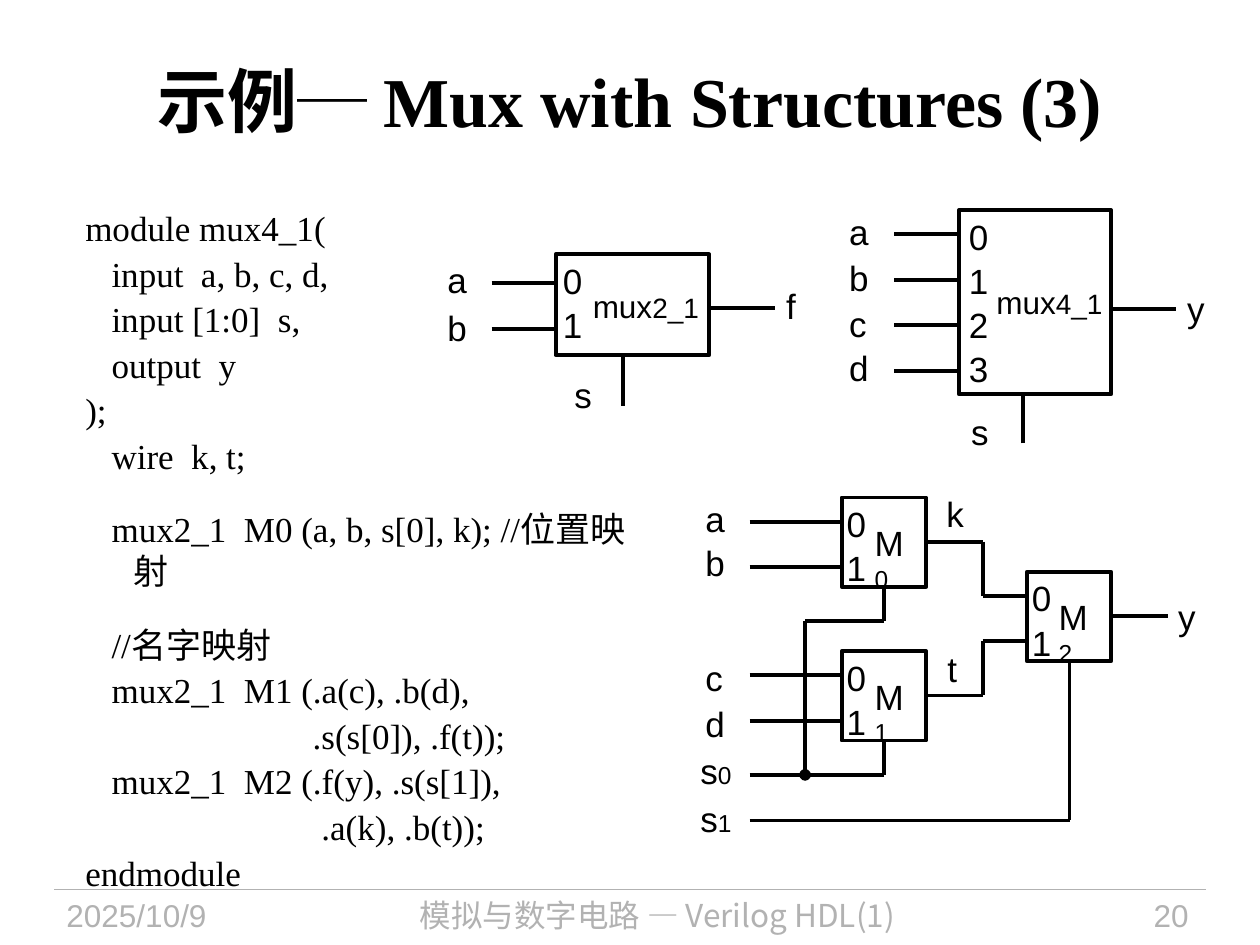
from itertools import pairwise
from lxml import etree
from pptx import Presentation, util as u
from pptx.dml.color import RGBColor
from pptx.enum import shapes, text
from pptx.oxml import ns

THEME = {
    "ink": RGBColor(0, 0, 0), "paper": RGBColor(255, 255, 255),
    "muted": RGBColor(0xB2, 0xB2, 0xB2),
    "serif": "Times New Roman", "sans": "Arial", "cjk": "Noto Sans CJK SC",
    "title": 40, "body": 20, "name": 18, "suffix": 16, "index": 14, "footer": 18,
    "wire": 2.25, "rule": 0.75,
}

# Content; positions are in inches and become Cm through at()
TITLE = [("示例", "serif"), ("─", "cjk"), (" Mux with Structures (3)", "serif")]
CODE_BLOCKS = [
    ["module mux4_1(", "   input  a, b, c, d,", "   input [1:0]  s,", "   output  y", ");",
     "   wire  k, t;"],
    ["   mux2_1  M0 (a, b, s[0], k); //位置映射"],
    ["   //名字映射", "   mux2_1  M1 (.a(c), .b(d),",
     "                          .s(s[0]), .f(t));",
     "   mux2_1  M2 (.f(y), .s(s[1]),",
     "                           .a(k), .b(t));", "endmodule"],
]
# left, top, width, height, pins, pin inset, first lead, lead length, output offset, output length
BLOCKS = [
    (4.41, 2.02, 1.22, 0.80, 2, 0.06, 0.23, 0.51, 0.42, 0.52),
    (7.61, 1.67, 1.21, 1.46, 4, 0.08, 0.19, 0.51, 0.78, 0.51),
    (6.68, 3.95, 0.67, 0.71, 2, 0.04, 0.19, 0.73, 0.35, 0.45),
    (6.68, 5.17, 0.67, 0.71, 2, 0.04, 0.19, 0.73, 0.35, 0.45),
    (8.15, 4.54, 0.67, 0.71, 2, 0.04, 0.19, 0.35, 0.35, 0.45),
]
BLOCK_NAMES = [("mux", "2_1", 4.68, 2.28, 0.89), ("mux", "4_1", 7.80, 2.25, 1.06)]
GATE_NAMES = [("M", "0", 6.94, 4.14), ("M", "1", 6.94, 5.36), ("M", "2", 8.40, 4.73)]
SELECTS = [("s", "0", 5.56, 5.95), ("s", "1", 5.56, 6.33)]
SIGNALS = [
    ("a", 3.55, 2.05), ("b", 3.55, 2.43), ("s", 4.56, 2.96), ("f", 6.24, 2.26),
    ("a", 6.74, 1.67), ("b", 6.74, 2.04), ("c", 6.74, 2.40), ("d", 6.74, 2.75),
    ("s", 7.71, 3.26), ("y", 9.42, 2.28),
    ("a", 5.60, 3.95), ("b", 5.60, 4.30), ("c", 5.60, 5.21), ("d", 5.60, 5.58),
    ("k", 7.51, 3.91), ("t", 7.52, 5.14), ("y", 9.35, 4.73),
]
ROUTES = [
    [(4.94, 3.22), (4.94, 2.82)],                                # mux2_1 select
    [(8.12, 3.52), (8.12, 3.13)],                                # mux4_1 select
    [(7.80, 4.30), (7.80, 4.73)],                                # k
    [(7.80, 5.52), (7.80, 5.09)],                                # t
    [(5.95, 6.15), (7.02, 6.15), (7.02, 5.88)],                  # s0 to M1
    [(6.39, 4.93), (7.02, 4.93), (7.02, 4.66)],                  # s0 to M0
    [(5.95, 6.51), (8.49, 6.51), (8.49, 5.25)],                  # s1 to M2
]
S0_BRANCH = [(6.39, 6.15), (6.39, 4.93)]
FOOTERS = [
    ("2025/10/9", "sans", 0.43, 1.88, text.PP_ALIGN.LEFT),
    ("模拟与数字电路 — Verilog HDL(1)", "cjk", 2.40, 5.63, text.PP_ALIGN.CENTER),
    ("20", "sans", 8.20, 1.33, text.PP_ALIGN.RIGHT),
]
PIN_PITCH, LEAD_PITCH = 0.35, 0.36


def at(*inches):
    return [u.Cm(round(value * 2.54, 2)) for value in inches]


def add_span(para, words, font, size, color="ink", bold=False):
    span = para.add_run()
    span.text = words
    span.font.name = THEME[font]
    span.font.size = u.Pt(THEME[size])
    span.font.bold = bold
    span.font.color.rgb = THEME[color]
    east_asian = etree.SubElement(span.font._element, ns.qn("a:ea"))
    east_asian.set("typeface", THEME["cjk"])


def add_box(slide, left, top, width, height):
    box = slide.shapes.add_textbox(*at(left, top, width, height))
    box.text_frame.word_wrap = True
    return box.text_frame


def add_label(slide, spans, left, top, width=None):
    frame = add_box(slide, left, top, width or 0.16 * len(spans), 0.33)
    frame.margin_left = frame.margin_right = frame.margin_top = frame.margin_bottom = 0
    frame.word_wrap = width is not None
    frame.auto_size = text.MSO_AUTO_SIZE.SHAPE_TO_FIT_TEXT
    para = frame.paragraphs[0]
    para.alignment = text.PP_ALIGN.CENTER if width else text.PP_ALIGN.LEFT
    for words, size in spans:
        add_span(para, words, "sans", size)


def add_wire(slide, start, end, color="ink", weight="wire", dot=False):
    wire = slide.shapes.add_connector(shapes.MSO_CONNECTOR.STRAIGHT, *at(*start, *end))
    wire.line.color.rgb = THEME[color]
    wire.line.width = u.Pt(THEME[weight])
    if dot:
        etree.SubElement(wire.line._get_or_add_ln(), ns.qn("a:headEnd"), type="oval")
    etree.SubElement(wire._element.spPr, ns.qn("a:effectLst"))


def add_block(slide, left, top, width, height, pins, inset, first, lead, out, out_length):
    block = slide.shapes.add_shape(shapes.MSO_SHAPE.RECTANGLE, *at(left, top, width, height))
    block.shadow.inherit = False
    block.fill.solid()
    block.fill.fore_color.rgb = THEME["paper"]
    block.line.color.rgb = THEME["ink"]
    block.line.width = u.Pt(THEME["wire"])
    for pin in range(pins):
        add_label(slide, [(str(pin), "body")], left + inset, top + 0.04 + pin * PIN_PITCH)
        level = top + first + pin * LEAD_PITCH
        add_wire(slide, (left - lead, level), (left, level))
    right, level = left + width, top + out
    add_wire(slide, (right, level), (right + out_length, level))


def add_code(slide):
    frame = add_box(slide, 0.58, 1.59, 4.76, 5.39)
    para = None
    for block in CODE_BLOCKS:
        for number, line in enumerate(block):
            gap = para is not None and number == 0
            para = frame.add_paragraph() if para is not None else frame.paragraphs[0]
            properties = para._p.get_or_add_pPr()
            properties.set("marL", str(u.Cm(0.97)))
            properties.set("indent", str(u.Cm(-0.97)))
            para.line_spacing = u.Pt(24)
            para.space_after = u.Pt(2)
            if gap:
                para.space_before = u.Pt(16)
            add_span(para, line, "serif", "body")


def main():
    deck = Presentation()
    deck.slide_width, deck.slide_height = at(10, 7.5)
    slide = deck.slides.add_slide(deck.slide_layouts[6])

    # Title
    frame = add_box(slide, 0.5, 0.17, 9, 1.25)
    frame.vertical_anchor = text.MSO_ANCHOR.MIDDLE
    frame.paragraphs[0].alignment = text.PP_ALIGN.CENTER
    for words, font in TITLE:
        add_span(frame.paragraphs[0], words, font, "title", bold=True)

    add_code(slide)

    # Circuit diagrams
    for points in ROUTES:
        for start, end in pairwise(points):
            add_wire(slide, start, end)
    for block in BLOCKS:
        add_block(slide, *block)
    add_wire(slide, *S0_BRANCH, dot=True)

    # Names and signals
    for stem, suffix, *place in BLOCK_NAMES:
        add_label(slide, [(stem, "name"), (suffix, "suffix")], *place)
    for stem, index, *place in GATE_NAMES + SELECTS:
        add_label(slide, [(stem, "body"), (index, "index")], *place)
    for signal, *place in SIGNALS:
        add_label(slide, [(signal, "body")], *place)

    # Footer
    add_wire(slide, (0.43, 7.06), (9.57, 7.06), "muted", "rule")
    for words, font, left, width, alignment in FOOTERS:
        para = add_box(slide, left, 7.06, width, 0.44).paragraphs[0]
        para.alignment = alignment
        add_span(para, words, font, "footer", "muted")

    deck.save("out.pptx")


if __name__ == "__main__":
    main()
